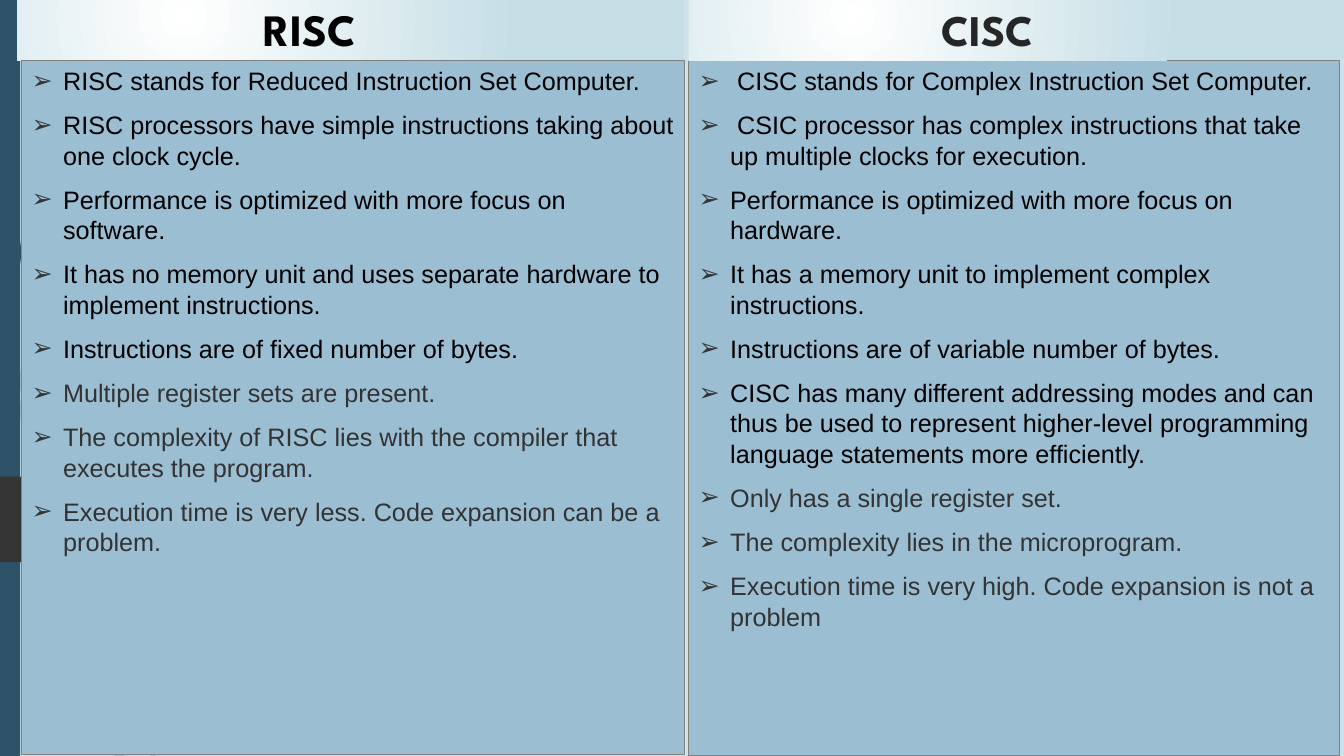
from lxml.etree import SubElement
from pptx import Presentation
from pptx.dml.color import RGBColor as RGB
from pptx.enum.shapes import MSO_SHAPE as SHAPE
from pptx.enum.text import MSO_ANCHOR as ANCHOR, PP_ALIGN as ALIGN
from pptx.oxml.ns import qn
from pptx.util import Pt

deck = Presentation()
deck.slide_width, deck.slide_height = Pt(960), Pt(540)
slide = deck.slides.add_slide(deck.slide_layouts[6])


def paint(fill, color, alpha=None):
    fill.solid()
    fill.fore_color.rgb = RGB.from_string(color)
    if alpha:
        tint = fill._xPr.find(qn("a:solidFill"))[0]
        SubElement(tint, qn("a:alpha"), val=str(alpha * 1000))


def write(para, text, size=18, font="Arial", color="000000", bold=False,
          left=0, hang=0, bullet=None):
    props = para._p.get_or_add_pPr()
    props.set("marL", str(Pt(left)))
    props.set("indent", str(Pt(-hang)))
    if bullet:
        tint = SubElement(props, qn("a:buClr"))
        SubElement(tint, qn("a:srgbClr"), val="353535")
        SubElement(props, qn("a:buFont"), typeface="Arial")
        SubElement(props, qn("a:buChar"), char=bullet)
    para.alignment = ALIGN.LEFT
    run = para.add_run()
    run.text = text
    run.font.size, run.font.name, run.font.bold = Pt(size), font, bold
    run.font.color.rgb = RGB.from_string(color)


paint(slide.background.fill, "CFE2E7")

# Wisps behind the panels: opacity, outline in units of 0.72 pt
wisps = [
    (20, [(58, 522), (84, 599), (85, 586), (62, 520), (14, 345), (17, 376)]),
    (20, [(92, 607), (88, 596), (88, 610), (123, 694), (150, 751), (155, 751),
          (127, 692)]),
    (20, [(119, 751), (124, 751), (105, 711)]),
    (20, [(93, 683), (70, 619), (31, 469), (17, 376), (11, 350), (28, 470),
          (65, 621), (92, 693), (101, 714), (99, 707)]),
    (20, [(101, 714), (114, 751), (119, 751)]),
    (20, [(96, 692), (93, 683), (99, 707), (101, 714), (119, 751), (105, 711)]),
    (100, [(7, 110), (17, 233), (33, 355), (56, 477), (57, 481), (55, 457),
           (55, 453), (36, 355), (19, 232), (8, 109), (5, 48), (4, 0), (3, 0),
           (4, 48)]),
    (100, [(113, 649), (110, 641), (111, 656), (132, 708), (152, 749),
           (157, 749), (136, 706)]),
    (100, [(133, 749), (136, 749), (122, 719)]),
    (100, [(117, 722), (127, 749), (131, 749)]),
    (100, [(116, 706), (110, 691), (116, 717), (117, 722), (130, 749),
           (133, 749), (122, 719)]),
]
for alpha, (start, *rest) in wisps:
    pen = slide.shapes.build_freeform(*start, scale=Pt(0.72))
    pen.add_line_segments(rest, close=True)
    wisp = pen.convert_to_shape()
    wisp.shadow.inherit = False
    paint(wisp.fill, "2E5369", alpha)
    wisp.line.fill.background()

# Side bar and page tab
sides = [
    (SHAPE.RECTANGLE, 0, 14.4, 540, "2E5369"),
    (SHAPE.PENTAGON, 340.5, 137.5, 61, "353535"),
]
for kind, top, wide, high, color in sides:
    side = slide.shapes.add_shape(kind, 0, Pt(top), Pt(wide), Pt(high))
    side.shadow.inherit = False
    paint(side.fill, color)
    side.line.fill.background()
    if kind == SHAPE.PENTAGON:
        side.adjustments[0] = 0.48

# Panels from back to front: left, top, width, height, black items, grey
# items, and the heading format (None for a list)
panels = [
    (12.2, 0, 476.6, 43.2, ["RISC"], [],
     dict(size=32, color="000000", left=169)),
    (15.5, 43.2, 473.3, 496, [
        "RISC stands for Reduced Instruction Set Computer.",
        "RISC processors have simple instructions taking about one clock cycle.",
        "Performance is optimized with more focus on software.",
        "It has no memory unit and uses separate hardware to implement instructions.",
        "Instructions are of fixed number of bytes.",
    ], [
        "Multiple register sets are present.",
        "The complexity of RISC lies with the compiler that executes the program.",
        "Execution time is very less. Code expansion can be a problem.",
    ], None),
    (492, 43.2, 465.1, 496.8, [
        " CISC stands for Complex Instruction Set Computer.",
        " CSIC processor has complex instructions that take up multiple clocks for execution.",
        "Performance is optimized with more focus on hardware.",
        "It has a memory unit to implement complex instructions.",
        "Instructions are of variable number of bytes.",
        "CISC has many different addressing modes and can thus be used to represent "
        "higher-level programming language statements more efficiently.",
    ], [
        "Only has a single register set.",
        "The complexity lies in the microprogram.",
        "Execution time is very high. Code expansion is not a problem",
    ], None),
    (492, 0, 468, 43.2, ["CISC"], [],
     dict(size=31.2, color="262626", left=173.5)),
]
for left, top, wide, high, black, grey, style in panels:
    box = slide.shapes.add_shape(
        SHAPE.RECTANGLE, Pt(left), Pt(top), Pt(wide), Pt(high))
    box.shadow.inherit = False
    frame = box.text_frame
    frame.word_wrap = True
    if style:
        box.line.fill.background()
        box.fill.gradient()
        for stop, tint in zip(box.fill.gradient_stops, ("FFFFFF", "C5DEE5")):
            stop.color.rgb = RGB.from_string(tint)
        grad = box._element.spPr.find(qn("a:gradFill"))
        grad.remove(grad.find(qn("a:lin")))
        glow = SubElement(grad, qn("a:path"), path="circle")
        SubElement(glow, qn("a:fillToRect"),
                   l="50000", t="50000", r="100000", b="100000")
        frame.vertical_anchor = ANCHOR.BOTTOM
        write(frame.paragraphs[0], black[0], font="League Spartan",
              bold=True, **style)
        continue
    paint(box.fill, "9BBED3")
    paint(box.line.fill, "808080")
    box.line.width = Pt(0.75)
    frame.vertical_anchor = ANCHOR.TOP
    for i, text in enumerate(black + grey):
        para = frame.add_paragraph() if i else frame.paragraphs[0]
        color = "000000" if i < len(black) else "333333"
        write(para, text, color=color, left=22.5, hang=22.5, bullet="➢")
        para.space_before = Pt(10 if i else 0)

deck.save("out.pptx")
